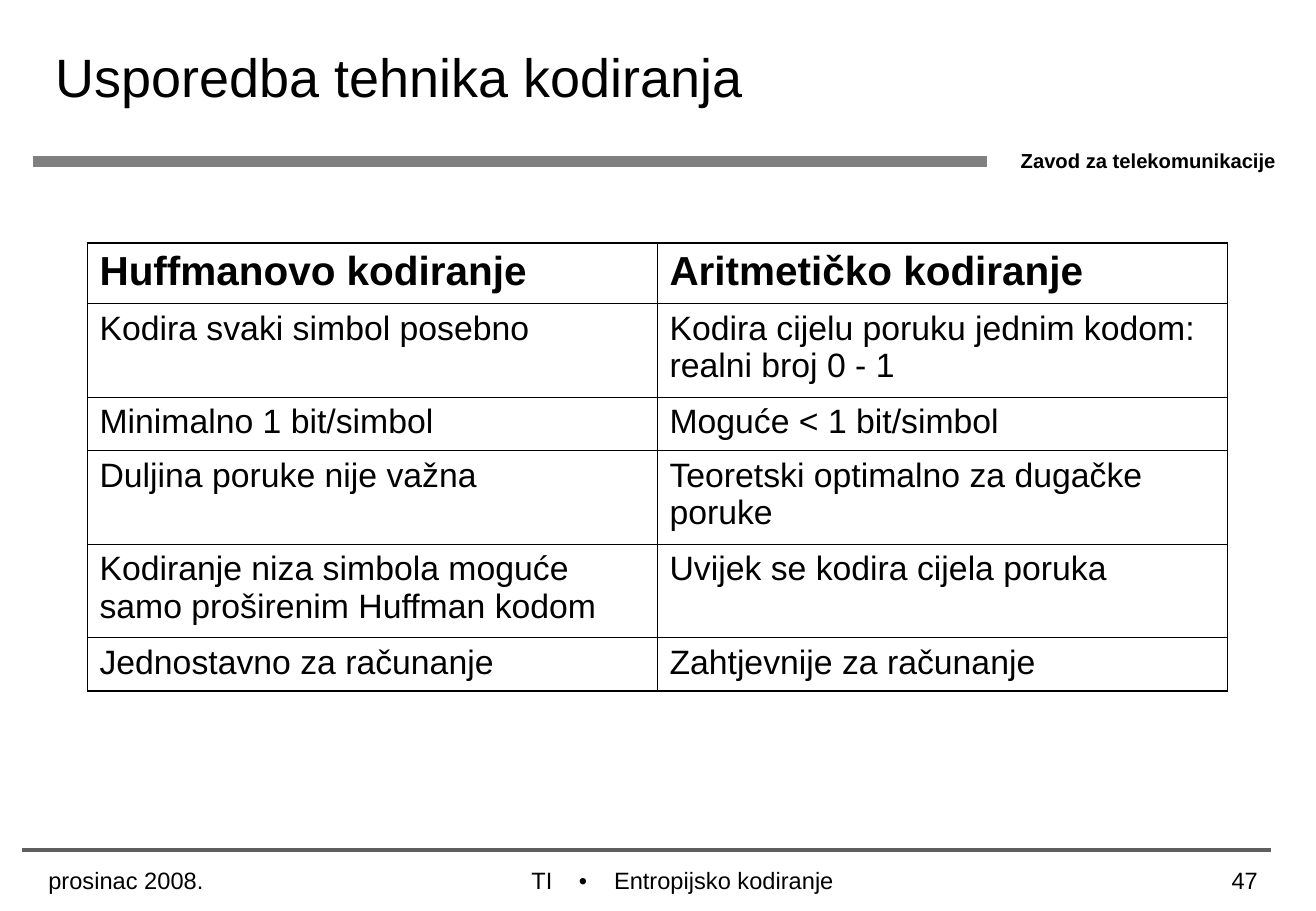
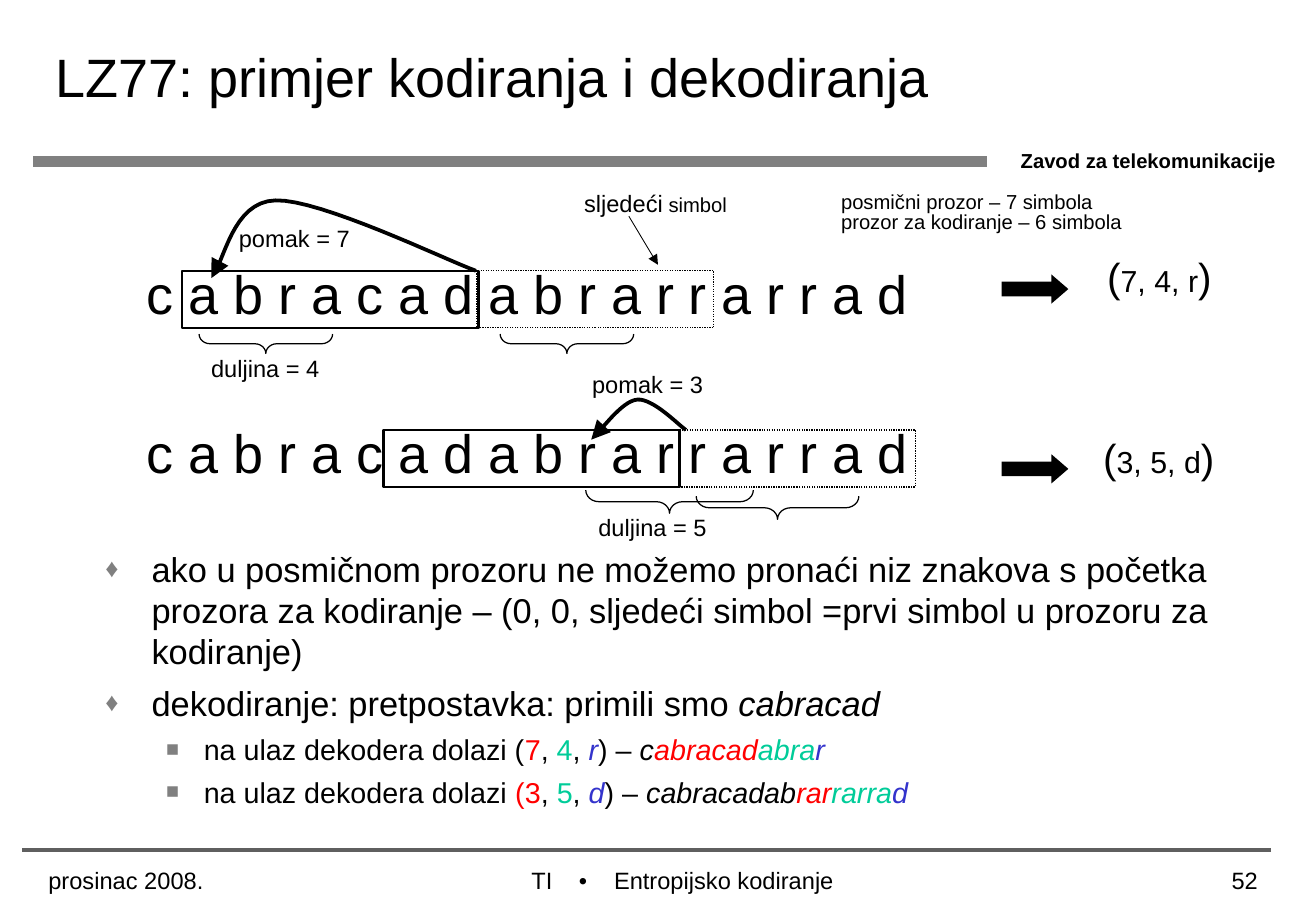
from lxml.etree import SubElement
from pptx import Presentation
from pptx.dml.color import RGBColor
from pptx.enum.dml import MSO_LINE
from pptx.enum.shapes import MSO_CONNECTOR, MSO_SHAPE
from pptx.enum.text import MSO_ANCHOR, PP_ALIGN
from pptx.oxml.ns import qn
from pptx.util import Pt

PX = 9144
FONT = "Arial"
BLACK = RGBColor(0x00, 0x00, 0x00)
GRAY = RGBColor(0x80, 0x80, 0x80)
DARK_GRAY = RGBColor(0x5F, 0x5F, 0x5F)
RED = RGBColor(0xFF, 0x00, 0x00)
GREEN = RGBColor(0x00, 0xCC, 0x99)
BLUE = RGBColor(0x33, 0x33, 0xCC)
LEFT, CENTER, RIGHT = PP_ALIGN.LEFT, PP_ALIGN.CENTER, PP_ALIGN.RIGHT


def add_text(tf, paragraphs, size, bold=False, align=LEFT, spacing=None):
    tf.word_wrap = True
    for i, runs in enumerate(paragraphs):
        p = tf.add_paragraph() if i else tf.paragraphs[0]
        p.alignment = align
        p.line_spacing = spacing
        for text, *style in runs:
            r = p.add_run()
            r.text = text
            r.font.name = FONT
            r.font.size = Pt(size)
            r.font.bold = bold
            r.font.color.rgb = BLACK
            for value in style:
                if value == "i":
                    r.font.italic = True
                elif isinstance(value, RGBColor):
                    r.font.color.rgb = value
                else:
                    r.font.size = Pt(value)


def set_line(sp, color, width, head=None):
    if hasattr(sp, "fill"):
        sp.fill.background()
    sp.line.color.rgb = color
    sp.line.width = Pt(width)
    if head:
        SubElement(sp.line._get_or_add_ln(), qn("a:tailEnd"), type="triangle", w=head, len=head)
    SubElement(sp._element.spPr, qn("a:effectLst"))


prs = Presentation()
prs.slide_width, prs.slide_height = 1084 * PX, 750 * PX

slides = []
for title, number in [
    ("Usporedba tehnika kodiranja", "47"),
    ("LZ77: primjer kodiranja i dekodiranja", "52"),
]:
    s = prs.slides.add_slide(prs.slide_layouts[6])
    slides.append(s)
    for x1, x2, y, color, width in [(813, 27, 133, GRAY, 6), (1047, 18, 700, DARK_GRAY, 2.25)]:
        rule = s.shapes.add_connector(MSO_CONNECTOR.STRAIGHT, x1 * PX, y * PX, x2 * PX, y * PX)
        set_line(rule, color, width)
    for text, x, y, w, h, size, bold, align in [
        (title, 36, 0, 921, 125, 32, False, LEFT),
        ("Zavod za telekomunikacije", 831, 117, 253, 30, 12, True, LEFT),
        ("prosinac 2008.", 30, 708, 195, 42, 14, False, LEFT),
        ("TI\t•\tEntropijsko kodiranje", 428, 708, 300, 42, 14, False, LEFT),
        (number, 909, 708, 137, 42, 14, False, RIGHT),
    ]:
        box = s.shapes.add_textbox(x * PX, y * PX, w * PX, h * PX)
        add_text(box.text_frame, [[(text,)]], size, bold, align)
        if text == title:
            box.text_frame.vertical_anchor = MSO_ANCHOR.MIDDLE
        if "\t" in text:
            tabs = SubElement(box.text_frame.paragraphs[0]._p.get_or_add_pPr(), qn("a:tabLst"))
            for stop in (39, 68):
                SubElement(tabs, qn("a:tab"), pos=str(stop * PX), algn="l")

comparison, lz77 = slides

rows = [
    ("Huffmanovo kodiranje", "Aritmetičko kodiranje", 50),
    ("Kodira svaki simbol posebno", "Kodira cijelu poruku jednim kodom: realni broj 0 - 1", 77),
    ("Minimalno 1 bit/simbol", "Moguće < 1 bit/simbol", 44),
    ("Duljina poruke nije važna", "Teoretski optimalno za dugačke poruke", 77),
    ("Kodiranje niza simbola moguće samo proširenim Huffman kodom",
     "Uvijek se kodira cijela poruka", 77),
    ("Jednostavno za računanje", "Zahtjevnije za računanje", 44),
]
frame = comparison.shapes.add_table(len(rows), 2, 72 * PX, 200 * PX, 939 * PX, 369 * PX)
table = frame.table
table.first_row = table.horz_banding = False
for i, (*texts, height) in enumerate(rows):
    table.rows[i].height = height * PX
    for j, text in enumerate(texts):
        cell = table.cell(i, j)
        header = i == 0
        add_text(cell.text_frame, [[(text,)]], 24 if header else 20, header)
        tcPr = cell._tc.get_or_add_tcPr()
        for side, outer in [("L", j == 0), ("R", j == 1), ("T", header), ("B", i == len(rows) - 1)]:
            ln = SubElement(tcPr, qn(f"a:ln{side}"), w=str(Pt(1.08 if outer else 0.45)))
            SubElement(SubElement(ln, qn("a:solidFill")), qn("a:srgbClr"), val=str(BLACK))
        cell.fill.background()

s = lz77
body = [
    [("ako u posmičnom prozoru ne možemo pronaći niz znakova s početka prozora za kodiranje – "
      "(0, 0, sljedeći simbol =prvi simbol u prozoru za kodiranje)",)],
    [("dekodiranje: pretpostavka: primili smo ",), ("cabracad", "i")],
    [("na ulaz dekodera dolazi (", 17), ("7", 17, RED), (", ", 17), ("4", 17, GREEN), (", ", 17),
     ("r", 17, BLUE, "i"), (") – ", 17), ("c", 17, "i"), ("abracad", 17, RED, "i"),
     ("abra", 17, GREEN, "i"), ("r", 17, BLUE, "i")],
    [("na ulaz dekodera dolazi ", 17), ("(3", 17, RED), (", ", 17), ("5", 17, GREEN), (", ", 17),
     ("d", 17, BLUE, "i"), (") – ", 17), ("cabracadab", 17, "i"), ("rar", 17, RED, "i"),
     ("rarra", 17, GREEN, "i"), ("d", 17, BLUE, "i")],
]
box = s.shapes.add_textbox(77 * PX, 446 * PX, 961 * PX, 221 * PX)
add_text(box.text_frame, body, 20.4)
for i, p in enumerate(box.text_frame.paragraphs):
    level, margin, indent, char, before = (0, 38, -38, "♦", 6) if i < 2 else (1, 81, -31, "■", 5)
    p.level = level
    if i:
        p.space_before = Pt(before)
    pPr = p._p.get_or_add_pPr()
    pPr.set("marL", str(margin * PX))
    pPr.set("indent", str(indent * PX))
    SubElement(SubElement(pPr, qn("a:buClr")), qn("a:srgbClr"), val=str(GRAY))
    SubElement(pPr, qn("a:buSzPct"), val="75000")
    SubElement(pPr, qn("a:buFont"), typeface=FONT)
    SubElement(pPr, qn("a:buChar"), char=char)

steps = [
    (220, 150, 226,
     [(392, 223), (365, 213), (264, 164), (227, 165), (191, 166), (185, 216), (174, 229)],
     [(211, 228, 16, 110), (459, 228, 16, 110)]),
    (351, 316, 374,
     [(565, 354), (559, 350), (538, 328), (525, 329), (512, 330), (495, 355), (487, 362)],
     [(542, 344, 19, 138), (631, 351, 19, 134)]),
]
for top, window_x, arrow_y, curve, braces in steps:
    box = s.shapes.add_textbox(45 * PX, top * PX, 780 * PX, 53 * PX)
    add_text(box.text_frame, [[("c a b r a c a d a b r a r r a r r a d",)]], 32, align=CENTER, spacing=0.8)

    for x, w, width, dash in [
        (window_x + 243, 195, 0.75, MSO_LINE.ROUND_DOT),
        (window_x, 244, 1.5, MSO_LINE.SOLID),
    ]:
        window = s.shapes.add_shape(MSO_SHAPE.RECTANGLE, x * PX, (top + 3) * PX, w * PX, 47 * PX)
        set_line(window, BLACK, width)
        window.line.dash_style = dash

    points = []
    for k in range(0, len(curve) - 1, 3):
        a, b, c, d = curve[k:k + 4]
        for n in range(1, 17):
            t = n / 16
            u = 1 - t
            points.append([
                round(PX * (u**3 * a[m] + 3 * u * u * t * b[m] + 3 * u * t * t * c[m] + t**3 * d[m]))
                for m in (0, 1)
            ])
    builder = s.shapes.build_freeform(curve[0][0] * PX, curve[0][1] * PX)
    builder.add_line_segments(points, close=False)
    set_line(builder.convert_to_shape(), BLACK, 2.25, "lg")

    for x, y, w, h in braces:
        brace = s.shapes.add_shape(MSO_SHAPE.LEFT_BRACE, x * PX, y * PX, w * PX, h * PX)
        brace.rotation = 270
        brace.adjustments[0] = 0.57
        set_line(brace, BLACK, 0.75)

    arrow = s.shapes.add_shape(MSO_SHAPE.RIGHT_ARROW, 825 * PX, arrow_y * PX, 55 * PX, 24 * PX)
    arrow.adjustments[0], arrow.adjustments[1] = 0.5, 0.58
    arrow.shadow.inherit = False
    arrow.fill.solid()
    arrow.fill.fore_color.rgb = BLACK
    arrow.line.fill.background()

for x, y, w, h, size, align, paragraphs in [
    (149, 291, 139, 29, 14, CENTER, [[("duljina = 4",)]]),
    (172, 184, 141, 29, 14, CENTER, [[("pomak = 7",)]]),
    (887, 210, 136, 42, 24, CENTER, [[("(",), ("7, 4, r", 18), (")",)]]),
    (468, 422, 139, 29, 14, CENTER, [[("duljina = 5",)]]),
    (463, 304, 141, 29, 14, CENTER, [[("pomak = 3",)]]),
    (884, 359, 141, 42, 24, CENTER, [[("(",), ("3, 5, d", 18), (")",)]]),
    (456, 155, 168, 29, 14, CENTER, [[("sljedeći",), (" simbol", 12)]]),
    (683, 155, 290, 42, 12, LEFT,
     [[("posmični prozor – 7 simbola",)], [("prozor za kodiranje – 6 simbola",)]]),
]:
    box = s.shapes.add_textbox(x * PX, y * PX, w * PX, h * PX)
    add_text(box.text_frame, paragraphs, size, align=align, spacing=0.8)

pointer = s.shapes.add_connector(MSO_CONNECTOR.STRAIGHT, 518 * PX, 178 * PX, 542 * PX, 218 * PX)
set_line(pointer, BLACK, 0.5, "med")

prs.save("out.pptx")
